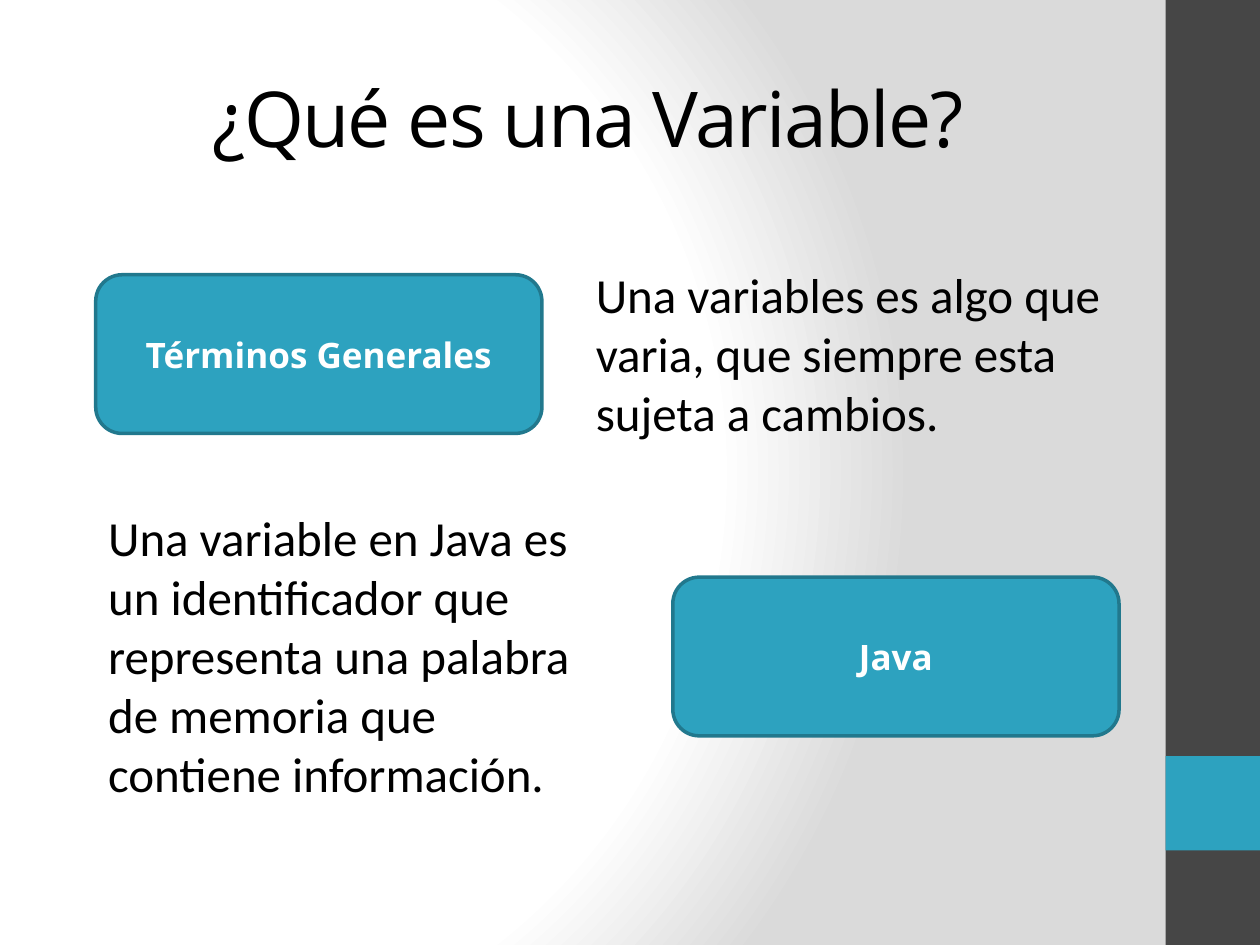
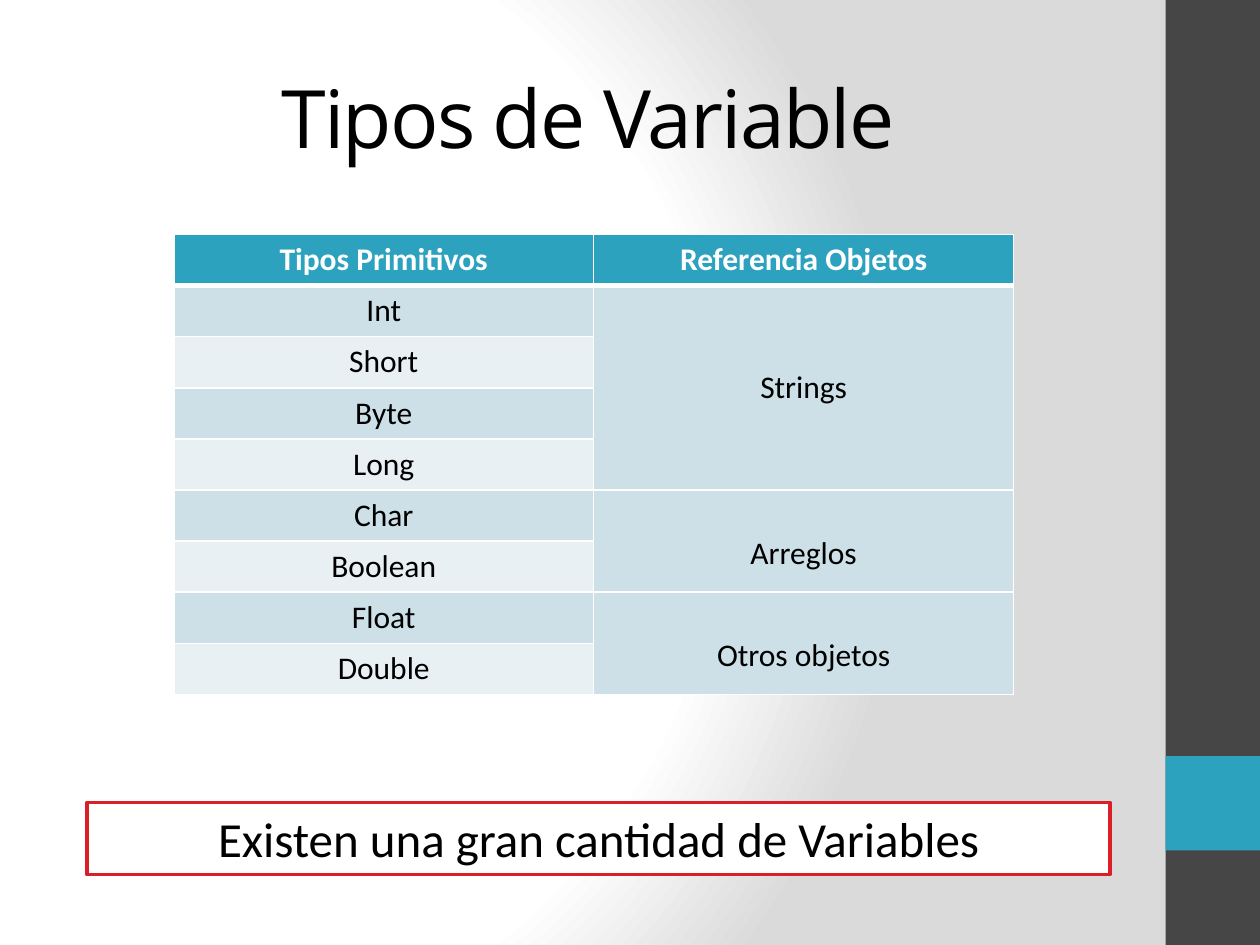
from collections import namedtuple
from dataclasses import dataclass

from pptx import Presentation
from pptx.dml.color import RGBColor
from pptx.enum.shapes import MSO_SHAPE as Preset
from pptx.enum.text import MSO_ANCHOR as Anchor, MSO_AUTO_SIZE as AutoSize, PP_ALIGN as Align
from pptx.oxml import parse_xml
from pptx.oxml.ns import nsdecls, qn
from pptx.util import Pt

Box = namedtuple("Box", "left top width height")


@dataclass(frozen=True)
class Theme:
    """Colours, fonts and type sizes shared by the slides."""
    ink: str = "000000"
    paper: str = "FFFFFF"
    shade: str = "DADADA"
    band: str = "464646"
    accent: str = "2DA2BF"
    accent_edge: str = "21788D"
    alert: str = "DA1F28"
    row_dark: str = "CDE0E8"
    row_light: str = "E8F0F4"
    heading_font: str = "Open Sans"
    body_font: str = "Calibri"
    body_size: float = 28
    card_size: float = 20
    table_size: float = 18
    table_line: float = 22


THEME = Theme()
TITLE_BOX = Box(36, 21.6, 600, 90)


def points(box):
    """Return the four lengths of a box in points."""
    return [Pt(length) for length in box]


def add_run(frame, text, font, size, color, bold=False, align=Align.LEFT):
    """Add one formatted run to the first paragraph of a frame."""
    paragraph = frame.paragraphs[0]
    paragraph.alignment = align
    run = paragraph.add_run()
    run.text = text
    run.font.name = font
    run.font.size = Pt(size)
    run.font.bold = bold
    run.font.color.rgb = RGBColor.from_string(color)
    return run


def add_block(slide, box, fill, edge=None, preset=Preset.RECTANGLE):
    """Add a flat filled shape with an optional outline."""
    block = slide.shapes.add_shape(preset, *points(box))
    block.shadow.inherit = False
    block.fill.solid()
    block.fill.fore_color.rgb = RGBColor.from_string(fill)
    if edge:
        block.line.color.rgb = RGBColor.from_string(edge)
        block.line.width = Pt(2)
    else:
        block.line.fill.background()
    return block


def paint_background(master):
    """Give the master its circular gradient."""
    master.background.fill.solid()
    properties = master.element.find(".//" + qn("p:bgPr"))
    stops = "".join(
        f'<a:gs pos="{position}"><a:srgbClr val="{color}"/></a:gs>'
        for position, color in ((0, THEME.paper), (75000, THEME.paper), (100000, THEME.shade)))
    gradient = parse_xml(
        f'<a:gradFill {nsdecls("a")} rotWithShape="1"><a:gsLst>{stops}</a:gsLst>'
        '<a:path path="circle"><a:fillToRect l="20000" t="50000" r="100000" b="50000"/>'
        '</a:path></a:gradFill>')
    properties.replace(properties[0], gradient)


def place_side_band(slide, master, box):
    """Build the side band with its accent square and move it to the master."""
    square = Box(box.left, box.top + 0.8 * box.height, box.width, box.width)
    tree = master.shapes.element
    for order, (part, color) in enumerate(((box, THEME.band), (square, THEME.accent))):
        element = add_block(slide, part, color).element
        element.nvSpPr.cNvPr.set("id", str(101 + order))
        tree.insert(2 + order, element)


def add_titled_slide(deck, text, size):
    """Add a slide with the shared title style."""
    slide = deck.slides.add_slide(deck.slide_layouts.get_by_name("Title Only"))
    title = slide.shapes.title
    title.left, title.top, title.width, title.height = points(TITLE_BOX)
    frame = title.text_frame
    frame.word_wrap = True
    frame.auto_size = AutoSize.NONE
    frame.vertical_anchor = Anchor.MIDDLE
    run = add_run(frame, text, THEME.heading_font, size, THEME.ink, align=Align.CENTER)
    run.font.element.set("spc", "-100") if hasattr(run.font, "element") else \
        run._r.get_or_add_rPr().set("spc", "-100")
    return slide


def place_card(slide, box, label):
    """Place a rounded card with a centred label."""
    card = add_block(slide, box, THEME.accent, THEME.accent_edge, Preset.ROUNDED_RECTANGLE)
    frame = card.text_frame
    frame.word_wrap = True
    frame.vertical_anchor = Anchor.MIDDLE
    add_run(frame, label, THEME.heading_font, THEME.card_size, THEME.paper, True, Align.CENTER)


def place_definition(slide, box, text):
    """Place a wrapped paragraph of body text."""
    frame = slide.shapes.add_textbox(*points(box)).text_frame
    frame.word_wrap = True
    frame.auto_size = AutoSize.SHAPE_TO_FIT_TEXT
    add_run(frame, text, THEME.body_font, THEME.body_size, THEME.ink)


def place_notice(slide, box, text):
    """Place an outlined notice with centred text."""
    notice = add_block(slide, box, THEME.paper, THEME.alert)
    frame = notice.text_frame
    frame.word_wrap = True
    frame.auto_size = AutoSize.SHAPE_TO_FIT_TEXT
    frame.vertical_anchor = Anchor.TOP
    add_run(frame, text, THEME.body_font, THEME.body_size, THEME.ink, align=Align.CENTER)


def style_cell(cell, fill, bottom=1):
    """Fill a cell and draw its white borders."""
    properties = cell._tc.get_or_add_tcPr()
    for side, width in (("L", 1), ("R", 1), ("T", 1), ("B", bottom)):
        properties.append(parse_xml(
            f'<a:ln{side} {nsdecls("a")} w="{Pt(width)}"><a:solidFill>'
            f'<a:srgbClr val="{THEME.paper}"/></a:solidFill></a:ln{side}>'))
    cell.fill.solid()
    cell.fill.fore_color.rgb = RGBColor.from_string(fill)


def place_types_table(slide, box, headings, primitives, references):
    """Place primitives by row beside references as (name, rows, lines above)."""
    row_count = len(primitives) + 1
    table = slide.shapes.add_table(row_count, len(headings), *points(box)).table
    for row in table.rows:
        row.height = Pt(box.height / row_count)

    def write(cell, text, color=THEME.ink, bold=False):
        add_run(cell.text_frame, text, THEME.body_font, THEME.table_size, color, bold, Align.CENTER)

    for column, heading in enumerate(headings):
        style_cell(table.cell(0, column), THEME.accent, bottom=3)
        write(table.cell(0, column), heading, THEME.paper, True)
    for row, primitive in enumerate(primitives, 1):
        style_cell(table.cell(row, 0), THEME.row_dark if row % 2 else THEME.row_light)
        style_cell(table.cell(row, 1), THEME.row_dark)
        write(table.cell(row, 0), primitive)
    first = 1
    for reference, span, lines_above in references:
        cell = table.cell(first, 1)
        cell.merge(table.cell(first + span - 1, 1))
        cell.margin_top = Pt(3.6 + lines_above * THEME.table_line)
        write(cell, reference)
        first += span


def build_definition_slide(deck):
    """Build the slide that defines a variable."""
    slide = add_titled_slide(deck, "¿Qué es una Variable?", 44)
    place_definition(slide, Box(333.4, 147.6, 306, 108.7),
                     "Una variables es algo que varia, que siempre esta sujeta a cambios.")
    place_card(slide, Box(54.7, 157, 255, 90.7), "Términos Generales")
    place_card(slide, Box(384.5, 329.8, 255, 90.7), "Java")
    place_definition(slide, Box(54.7, 286.6, 306, 177),
                     "Una variable en Java es un identificador que representa "
                     "una palabra de memoria que contiene información.")
    return slide


def build_types_slide(deck):
    """Build the slide that lists the types of variable."""
    slide = add_titled_slide(deck, "Tipos de Variable", 46)
    place_types_table(
        slide, Box(99.3, 134, 480, 262.8),
        ("Tipos Primitivos", "Referencia Objetos"),
        ("Int", "Short", "Byte", "Long", "Char", "Boolean", "Float", "Double"),
        (("Strings", 4, 2), ("Arreglos", 2, 1), ("Otros objetos", 2, 1)))
    place_notice(slide, Box(49.7, 458.6, 584.6, 41.2), "Existen una gran cantidad de Variables")


def main():
    """Build and save the deck."""
    deck = Presentation()
    deck.slide_width, deck.slide_height = Pt(720), Pt(540)
    paint_background(deck.slide_master)
    definition = build_definition_slide(deck)
    place_side_band(definition, deck.slide_master, Box(666, 0, 54, 540))
    build_types_slide(deck)
    deck.save("out.pptx")


main()
